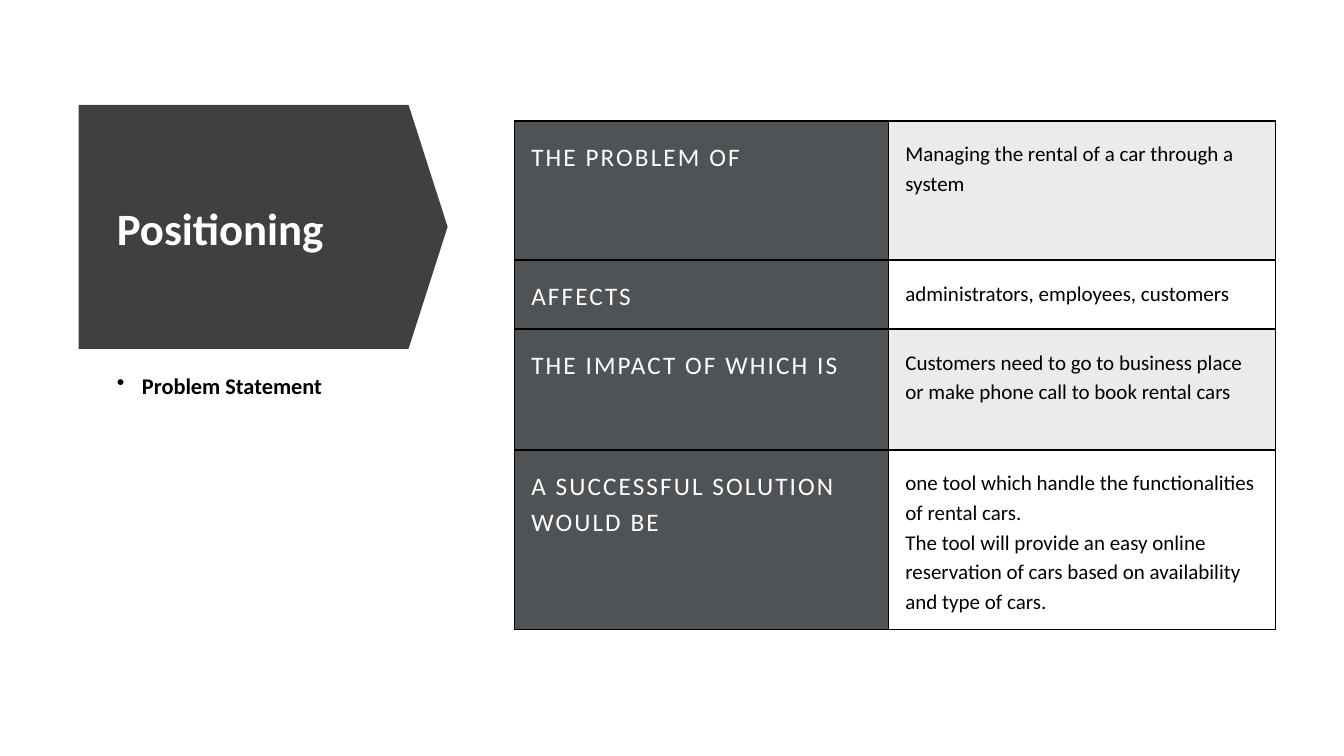
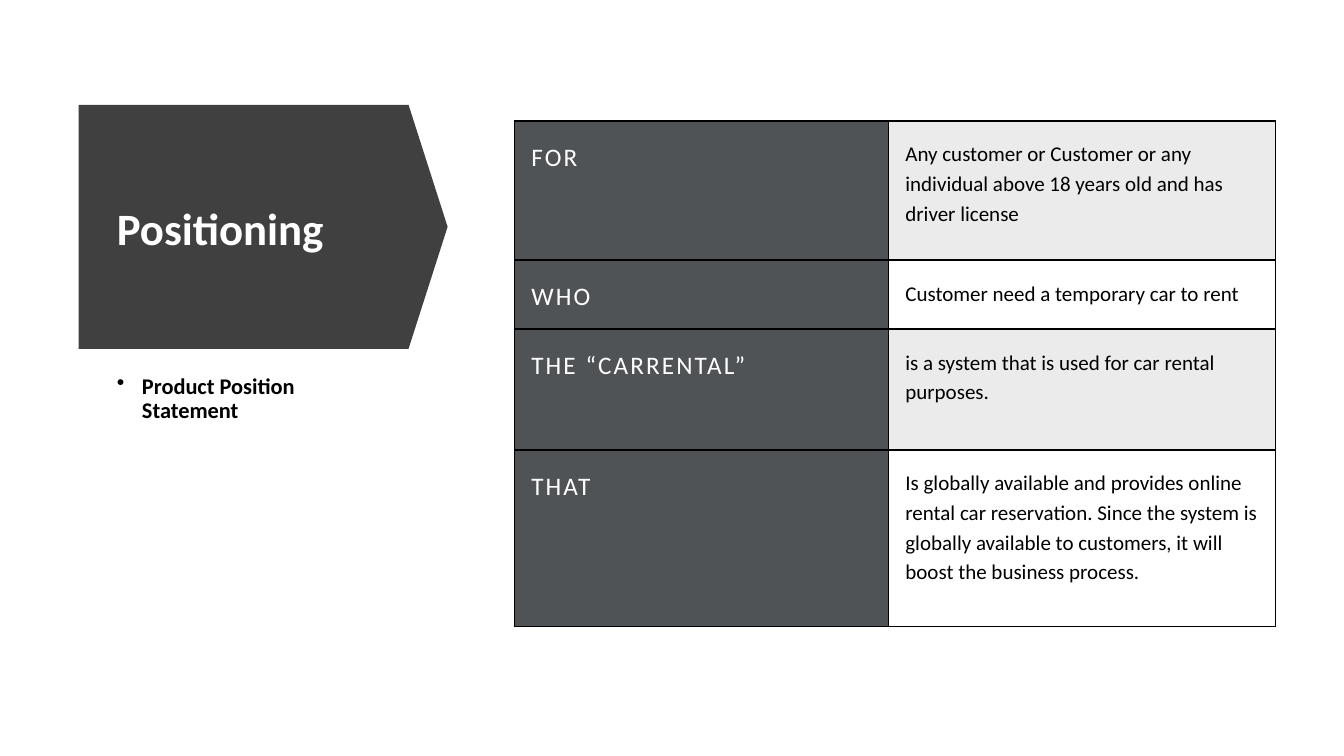
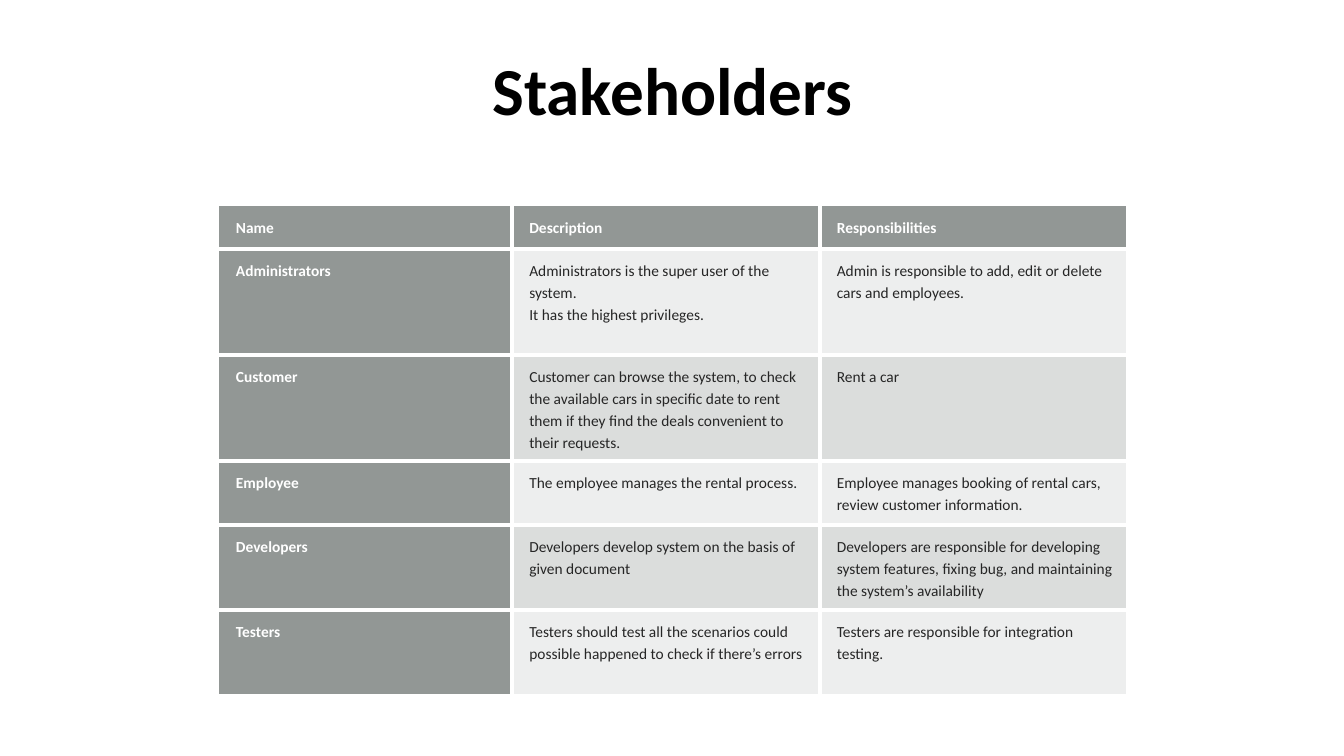
from dataclasses import dataclass

from lxml.etree import SubElement
from pptx import Presentation
from pptx.dml.color import RGBColor as Rgb
from pptx.enum.shapes import MSO_SHAPE as Kind
from pptx.enum.text import MSO_ANCHOR as Anchor, PP_ALIGN as Align
from pptx.oxml.ns import qn
from pptx.slide import Slide
from pptx.util import Inches, Length, Pt

FONT = "Calibri"
HUES = {
    "black": "000000", "white": "FFFFFF", "arrow": "404040",
    "label": "505356", "band": "EBEBEB", "ink": "262626",
    "head": "929795", "light": "EDEEEE", "mid": "DBDDDC",
}
COLS, ROWS = 160, 90  # slide grid of cells one twelfth of an inch wide


@dataclass(frozen=True)
class Box:
    left: float
    top: float
    width: float
    height: float


@dataclass(frozen=True)
class Type:
    size: float
    hue: str = "black"
    bold: bool = False
    track: int = 0
    lead: float = 0.9


@dataclass(frozen=True)
class Look:
    """How a table is drawn; the bands alternate over the body rows."""
    left: float
    top: float
    cols: tuple[float, ...]
    rows: tuple[float, ...]
    pad: tuple[float, float]
    line: str
    weight: int
    frame: bool
    header: bool
    label: Type
    body: Type
    fill: str
    bands: tuple[str, str]


@dataclass(frozen=True)
class Claim:
    topic: str
    rows: list[tuple[str, str]]


ARROW = Box(9.4, 12.5, 43.9, 29)
NAME = Box(12.7, 15.8, 35, 23.4)
TOPIC = Box(12.7, 44, 35, 31.8)
BANNER = Box(11, 3.8, 138, 12.2)

NAME_TYPE = Type(32, "white", True)
TOPIC_TYPE = Type(16, bold=True)
BANNER_TYPE = Type(48, bold=True)

CLAIM_LOOK = Look(
    61.2, 14.4, (44.5, 46.1), (16.6, 7.7, 14.4, 21), (2, 2),
    "black", 1, True, False,
    Type(18, "white", track=150, lead=1.15), Type(15, lead=1.15),
    "label", ("band", "white"))
ROLE_LOOK = Look(
    26, 24.5, (34.9, 36.6, 36.5), (5.2, 12.6, 12.6, 7.7, 10.1, 10.1),
    (2, 1.2), "white", 3, False, True,
    Type(11, "white", True, lead=1.15), Type(11, "ink", lead=1.15),
    "head", ("light", "mid"))

CLAIMS = [
    Claim("Problem Statement", [
        ("THE PROBLEM OF", "Managing the rental of a car through a system"),
        ("AFFECTS", "administrators, employees, customers"),
        ("THE IMPACT OF WHICH IS",
         "Customers need to go to business place or make phone call "
         "to book rental cars"),
        ("A SUCCESSFUL SOLUTION WOULD BE",
         "one tool which handle the functionalities of rental cars.\n"
         "The tool will provide an easy online reservation of cars "
         "based on availability and type of cars."),
    ]),
    Claim("Product Position Statement", [
        ("FOR", "Any customer or Customer or any individual above "
                "18 years old and has driver license"),
        ("WHO", "Customer need a temporary car to rent"),
        ("THE “CARRENTAL”",
         "is a system that is used for car rental purposes."),
        ("THAT",
         "Is globally available and provides online rental car reservation. "
         "Since the system is globally available to customers, it will "
         "boost the business process."),
    ]),
]
ROLES = [
    ("Name", "Description", "Responsibilities"),
    ("Administrators",
     "Administrators is the super user of the system.\n"
     "It has the highest privileges.",
     "Admin is responsible to add, edit or delete cars and employees."),
    ("Customer",
     "Customer can browse the system, to check the available cars in "
     "specific date to rent them if they find the deals convenient to "
     "their requests.",
     "Rent a car"),
    ("Employee", "The employee manages the rental process.",
     "Employee manages booking of rental cars, review customer information."),
    ("Developers", "Developers develop system on the basis of given document",
     "Developers are responsible for developing system features, fixing "
     "bug, and maintaining the system’s availability"),
    ("Testers",
     "Testers should test all the scenarios could possible happened to "
     "check if there’s errors",
     "Testers are responsible for integration testing."),
]


def grid(cells: float) -> Length:
    return Inches(round(cells / 12, 2))


def place(box: Box) -> tuple[Length, ...]:
    return tuple(map(grid, (box.left, box.top, box.width, box.height)))


def tint(hue: str) -> Rgb:
    return Rgb.from_string(HUES[hue])


def write(frame, text: str, kind: Type) -> None:
    frame.text = text
    for para in frame.paragraphs:
        para.line_spacing = kind.lead
        for run in para.runs:
            font = run.font
            font.name, font.size, font.bold = FONT, Pt(kind.size), kind.bold
            font.color.rgb = tint(kind.hue)
            if kind.track:
                run._r.get_or_add_rPr().set("spc", str(kind.track))


def add_text(slide: Slide, box: Box, text: str, kind: Type,
             anchor: Anchor = Anchor.TOP, align: Align = Align.LEFT):
    frame = slide.shapes.add_textbox(*place(box)).text_frame
    frame.word_wrap = True
    frame.vertical_anchor = anchor
    write(frame, text, kind)
    frame.paragraphs[0].alignment = align
    return frame


def add_bullet(para) -> None:
    para.space_before = Pt(10)
    props = para._p.get_or_add_pPr()
    props.set("marL", str(Inches(0.25)))
    props.set("indent", str(-Inches(0.25)))
    SubElement(props, qn("a:buChar")).set("char", "•")


def edge(cell, side: str, hue: str, weight: int) -> None:
    """Draw one border of a cell, or clear it when the weight is 0."""
    line = SubElement(cell._tc.get_or_add_tcPr(), qn(f"a:ln{side}"))
    line.set("w", str(Pt(weight)))
    if weight:
        fill = SubElement(line, qn("a:solidFill"))
        SubElement(fill, qn("a:srgbClr")).set("val", HUES[hue])
    else:
        SubElement(line, qn("a:noFill"))


def add_table(slide: Slide, look: Look, data: list[tuple[str, ...]]) -> None:
    box = Box(look.left, look.top, sum(look.cols), sum(look.rows))
    deep, wide = len(look.rows), len(look.cols)
    table = slide.shapes.add_table(deep, wide, *place(box)).table
    table.first_row = table.horz_banding = False
    for col, width in zip(table.columns, look.cols):
        col.width = grid(width)
    for row, height in zip(table.rows, look.rows):
        row.height = grid(height)
    for r, texts in enumerate(data):
        for c, text in enumerate(texts):
            cell = table.cell(r, c)
            first, rest = map(grid, look.pad)
            cell.margin_left = first
            cell.margin_right = cell.margin_top = cell.margin_bottom = rest
            inner = {"L": c > 0, "R": c < wide - 1,
                     "T": r > 0, "B": r < deep - 1}
            for side, shown in inner.items():
                edge(cell, side, look.line,
                     look.weight if shown or look.frame else 0)
            label = c == 0 or (look.header and r == 0)
            band = look.bands[(r - look.header) % 2]
            cell.fill.solid()
            cell.fill.fore_color.rgb = tint(look.fill if label else band)
            write(cell.text_frame, text, look.label if label else look.body)


def add_claim(slide: Slide, claim: Claim) -> None:
    arrow = slide.shapes.add_shape(Kind.PENTAGON, *place(ARROW))
    arrow.adjustments[0] = 0.16
    arrow.shadow.inherit = False
    arrow.fill.solid()
    arrow.fill.fore_color.rgb = tint("arrow")
    arrow.line.fill.background()
    add_text(slide, NAME, "Positioning", NAME_TYPE, Anchor.MIDDLE)
    topic = add_text(slide, TOPIC, claim.topic, TOPIC_TYPE)
    add_bullet(topic.paragraphs[0])
    add_table(slide, CLAIM_LOOK, claim.rows)


def main() -> None:
    deck = Presentation()
    deck.slide_width, deck.slide_height = grid(COLS), grid(ROWS)
    blank = deck.slide_layouts[6]
    for claim in CLAIMS:
        add_claim(deck.slides.add_slide(blank), claim)
    slide = deck.slides.add_slide(blank)
    add_text(slide, BANNER, "Stakeholders", BANNER_TYPE,
             Anchor.BOTTOM, Align.CENTER)
    add_table(slide, ROLE_LOOK, ROLES)
    deck.save("out.pptx")


if __name__ == "__main__":
    main()
